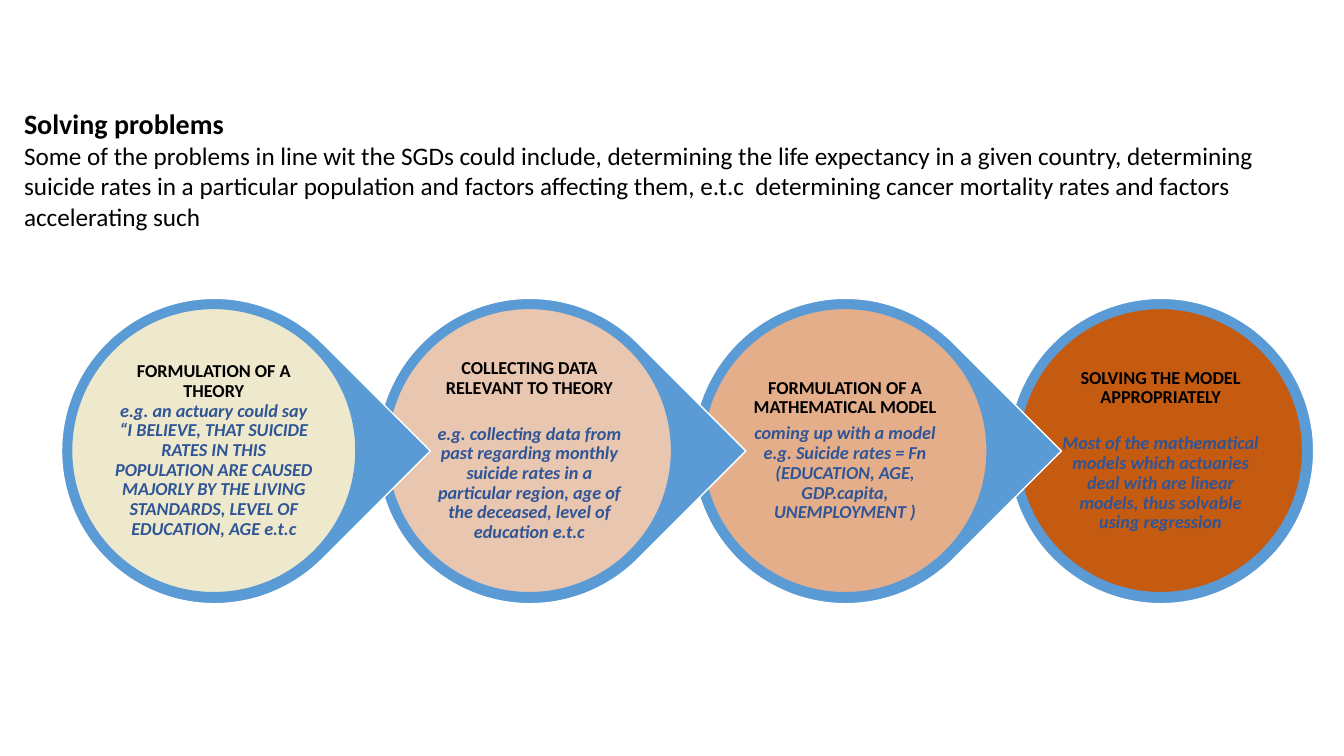
"""Build a slide showing four chained steps for solving actuarial problems."""
from lxml import etree
from pptx import Presentation
from pptx.dml.color import RGBColor
from pptx.enum.shapes import MSO_SHAPE
from pptx.enum.text import MSO_ANCHOR, MSO_AUTO_SIZE, PP_ALIGN
from pptx.oxml.ns import qn
from pptx.util import Inches, Pt

ELLIPSE, TEARDROP = MSO_SHAPE.OVAL, MSO_SHAPE.TEAR
MIDDLE, CENTER, LEFT = MSO_ANCHOR.MIDDLE, PP_ALIGN.CENTER, PP_ALIGN.LEFT
GROW = MSO_AUTO_SIZE.SHAPE_TO_FIT_TEXT
COLORS = {
    "text": "000000", "detail": "2F5597", "ring": "5B9BD5", "edge": "FFFFFF",
    "theory": "FFF2CC", "data": "F8CBAD", "model": "F4B183", "solve": "C55A11",
}
TITLE = {"size": Pt(20), "bold": True}
BODY = {"size": Pt(18), "bold": False}
HEADING = {"size": Pt(13), "bold": True}
DETAIL = {"size": Pt(13), "bold": True, "italic": True}
CENTERED = {"alignment": CENTER, "line_spacing": 0.9}
STEP_LEFT, STEP_TOP, STEP_PITCH = 0.61, 2.96, 3.13
RING_SIZE, DISC_SIZE, LABEL_SIZE = 3.03, 2.82, 2.02
DISC_INSET, LABEL_INSET = 0.1, 0.5
LINE_GAP, PARAGRAPH_GAP = 14.3, 4.55

INTRO = (
    "Some of the problems in line wit the SGDs could include, determining the life "
    "expectancy in a given country, determining suicide rates in a particular population "
    "and factors affecting them, e.t.c  determining cancer mortality rates and factors "
    "accelerating such"
)
STEPS = [
    ("theory", 90, 0, "FORMULATION OF A THEORY",
     "e.g. an actuary could say “I BELIEVE, THAT SUICIDE RATES IN THIS POPULATION ARE "
     "CAUSED MAJORLY BY THE LIVING STANDARDS, LEVEL OF EDUCATION, AGE e.t.c"),
    ("data", 90, PARAGRAPH_GAP + LINE_GAP, "COLLECTING DATA RELEVANT TO THEORY",
     "e.g. collecting data from past regarding monthly suicide rates in a particular "
     "region, age of the deceased, level of education e.t.c"),
    ("model", 90, PARAGRAPH_GAP, "FORMULATION OF A MATHEMATICAL MODEL",
     "coming up with a model e.g. Suicide rates = Fn (EDUCATION, AGE, GDP.capita, "
     "UNEMPLOYMENT )"),
    ("solve", 100, PARAGRAPH_GAP + LINE_GAP, "SOLVING THE MODEL APPROPRIATELY",
     "Most of the mathematical models which actuaries deal with are linear models, "
     "thus solvable using regression"),
]


def apply(target, values):
    """Set each named value on the target."""
    for name, value in values.items():
        setattr(target, name, value)


class SlideBuilder:
    """Hold the slide and its font, and add styled elements."""

    def __init__(self, slide, font):
        """Keep the slide and font name."""
        self.slide = slide
        self.font = font

    def color(self, name):
        """Return a named colour."""
        return RGBColor.from_string(COLORS[name])

    def shape(self, kind, left, top, size, fill, line, opacity=100):
        """Add a square preset shape with a thin outline."""
        s = self.slide.shapes.add_shape(
            kind, Inches(left), Inches(top), Inches(size), Inches(size))
        s.shadow.inherit = False
        s.fill.solid()
        s.fill.fore_color.rgb = self.color(fill)
        s.line.color.rgb = self.color(line)
        s.line.width = Pt(1)
        if opacity < 100:
            clr = s._element.spPr.find(qn("a:solidFill")).find(qn("a:srgbClr"))
            etree.SubElement(clr, qn("a:alpha")).set("val", str(opacity * 1000))
        return s

    def text(self, left, top, width, height, paragraphs, frame):
        """Add a wrapped text box of styled paragraphs."""
        s = self.slide.shapes.add_textbox(
            Inches(left), Inches(top), Inches(width), Inches(height))
        tf = s.text_frame
        apply(tf, {"word_wrap": True, **frame})
        for i, (content, color, font, layout) in enumerate(paragraphs):
            p = tf.add_paragraph() if i else tf.paragraphs[0]
            apply(p, layout)
            r = p.add_run()
            r.text = content
            apply(r.font, {"name": self.font, **font})
            r.font.color.rgb = self.color(color)

    def step(self, index, fill, opacity, gap, heading, detail):
        """Add one step: a pointed ring, a disc and its label."""
        left = STEP_LEFT + index * STEP_PITCH
        last = index == len(STEPS) - 1
        ring = self.shape(ELLIPSE if last else TEARDROP,
                          left, STEP_TOP, RING_SIZE, "ring", "edge")
        if not last:
            ring.rotation = 45
        self.shape(ELLIPSE, left + DISC_INSET, STEP_TOP + DISC_INSET, DISC_SIZE,
                   fill, "ring", opacity)
        margins = {f"margin_{side}": Inches(0.02)
                   for side in ("left", "top", "right", "bottom")}
        paragraphs = [
            (heading, "text", HEADING, {**CENTERED, "space_after": Pt(gap)}),
            (detail, "detail", DETAIL, {**CENTERED, "space_after": Pt(PARAGRAPH_GAP)}),
        ]
        self.text(left + LABEL_INSET, STEP_TOP + LABEL_INSET, LABEL_SIZE, LABEL_SIZE,
                  paragraphs, {"vertical_anchor": MIDDLE, **margins})


def main():
    """Build and save the slide."""
    prs = Presentation()
    prs.slide_width, prs.slide_height = Inches(13.33), Inches(7.5)
    builder = SlideBuilder(prs.slides.add_slide(prs.slide_layouts[6]), "Calibri")
    for index, step in reversed(list(enumerate(STEPS))):
        builder.step(index, *step)
    intro = [("Solving problems", "text", TITLE, {"alignment": LEFT}),
             (INTRO, "text", BODY, {"alignment": LEFT})]
    builder.text(0.14, 1.01, 12.63, 1.35, intro, {"auto_size": GROW})
    prs.save("out.pptx")


if __name__ == "__main__":
    main()
